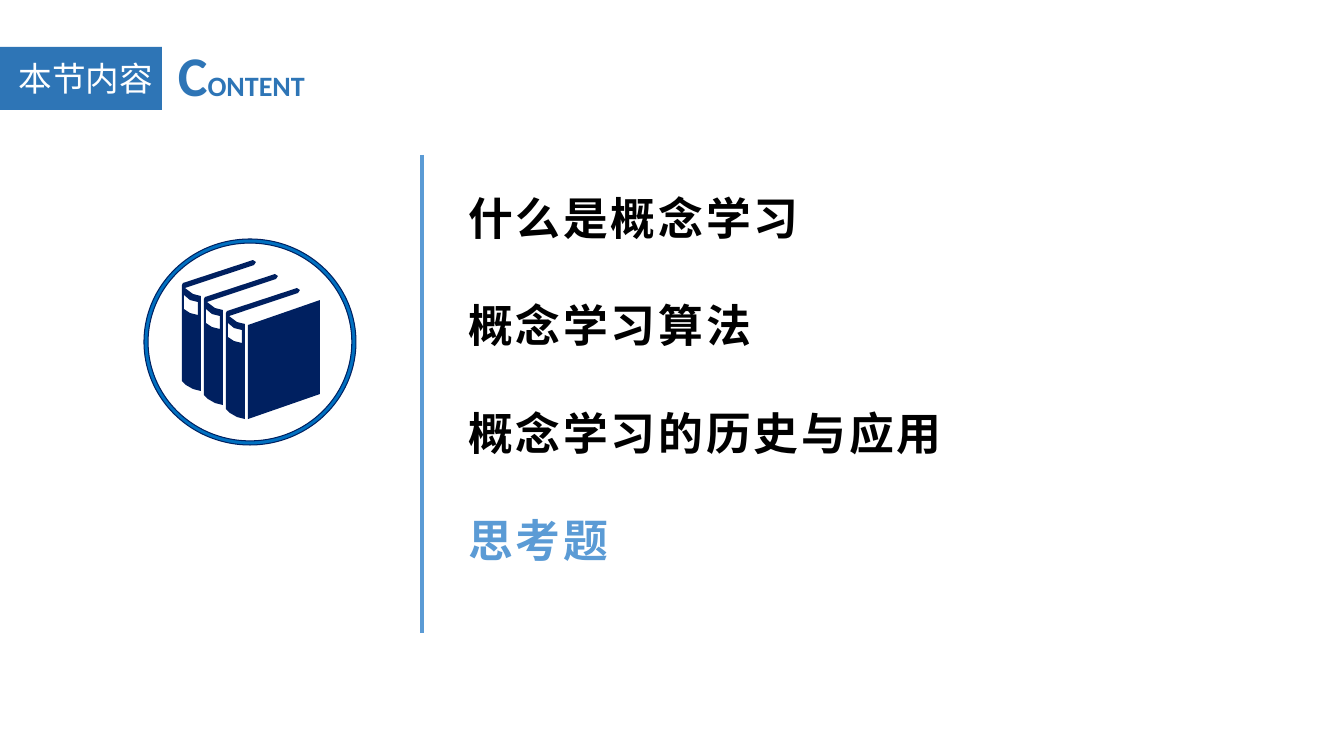
"""Build a section contents slide with a book emblem and four topics."""
from lxml.etree import SubElement
from pptx import Presentation
from pptx.dml.color import RGBColor
from pptx.enum.shapes import MSO_CONNECTOR, MSO_SHAPE
from pptx.enum.text import MSO_ANCHOR, MSO_AUTO_SIZE, PP_ALIGN
from pptx.oxml.ns import qn
from pptx.util import Pt

PX = 12192000 / 1344
COLORS = {"banner": "2E75B6", "accent": "5B9BD5", "ring": "0070C0",
          "navy": "002060", "white": "FFFFFF", "black": "000000"}
CJK_FONT = "Noto Sans CJK SC"


def px(*lengths):
    return [round(length * PX) for length in lengths]


def style(span, size, color, font="Calibri", bold=False):
    span.font.size = Pt(size)
    span.font.bold = bold
    span.font.name = font
    span.font.color.rgb = RGBColor.from_string(COLORS[color])
    SubElement(span.font._element, qn("a:ea")).set("typeface", CJK_FONT)


deck = Presentation()
deck.slide_width, deck.slide_height = px(1344, 756)
page = deck.slides.add_slide(deck.slide_layouts[1])
shapes = page.shapes

banner = shapes.add_shape(MSO_SHAPE.RECTANGLE, *px(0, 47, 162, 63))
banner.shadow.inherit = False
banner.fill.solid()
banner.fill.fore_color.rgb = RGBColor.from_string(COLORS["banner"])
banner.line.fill.background()
shapes._spTree.insert(2, banner._element)

title = shapes.title
title.left, title.top, title.width, title.height = px(8, 53, 155, 51)
title.text_frame.text = "本节内容"
title.text_frame.auto_size = MSO_AUTO_SIZE.NONE
title.text_frame.vertical_anchor = MSO_ANCHOR.MIDDLE
title.text_frame.margin_left = 0
para = title.text_frame.paragraphs[0]
para.alignment = PP_ALIGN.RIGHT
style(para.runs[0], 24, "white")

subtitle = shapes.add_textbox(*px(168, 36, 283, 78))
subtitle.text_frame.word_wrap = True
para = subtitle.text_frame.paragraphs[0]
for text, size in (("C", 40), ("ONTENT", 20)):
    span = para.add_run()
    span.text = text
    style(span, size, "banner", bold=True)

x, top, bottom = px(422, 155, 633)
divider = shapes.add_connector(MSO_CONNECTOR.STRAIGHT, x, top, x, bottom)
divider.line.width = Pt(3)
divider.line.color.rgb = RGBColor.from_string(COLORS["accent"])
SubElement(divider._element.spPr, qn("a:effectLst"))

ring = shapes.add_shape(MSO_SHAPE.DONUT, *px(144, 239, 212, 206))
ring.adjustments[0] = 0.02
ring.shadow.inherit = False
ring.fill.solid()
ring.fill.fore_color.rgb = RGBColor.from_string(COLORS["ring"])
ring.line.width = Pt(0.75)
ring.line.color.rgb = RGBColor.from_string(COLORS["navy"])

spine = [(256, 262), (253, 260), (183, 283), (182, 285), (182, 381), (186, 385),
         (193, 389), (201, 391), (201, 296), (193, 294), (185, 288), (254, 265)]
label = [(198, 302), (198, 315), (190, 313), (184, 309), (184, 295), (190, 300)]
cover = [(248, 325), (248, 419), (320, 394), (320, 300)]
builder = shapes.build_freeform(*cover[0], scale=PX)
builder.add_line_segments(cover[1:], close=True)
for book in range(3):
    for outline in (spine, label):
        points = [(x + 22 * book, y + 14 * book) for x, y in outline]
        builder.move_to(*points[0])
        builder.add_line_segments(points[1:], close=True)
books = builder.convert_to_shape()
books.shadow.inherit = False
books.fill.solid()
books.fill.fore_color.rgb = RGBColor.from_string(COLORS["navy"])
books.line.fill.background()

topics = {"什么是概念学习": "black", "概念学习算法": "black",
          "概念学习的历史与应用": "black", "思考题": "accent"}
body = page.placeholders[1]
body.left, body.top, body.width, body.height = px(458, 183, 568, 390)
body.text_frame.text = "\n".join(topics)
body.text_frame.auto_size = MSO_AUTO_SIZE.NONE
for index, (para, color) in enumerate(zip(body.text_frame.paragraphs, topics.values())):
    properties = para._p.get_or_add_pPr()
    properties.set("marL", "0")
    properties.set("indent", "0")
    SubElement(properties, qn("a:buNone"))
    para.line_spacing = Pt(40)
    para.space_before = Pt(36.8 if index else 0)
    style(para.runs[0], 32, color, CJK_FONT, True)
    para.runs[0].font._element.set("spc", "200")

deck.save("out.pptx")
